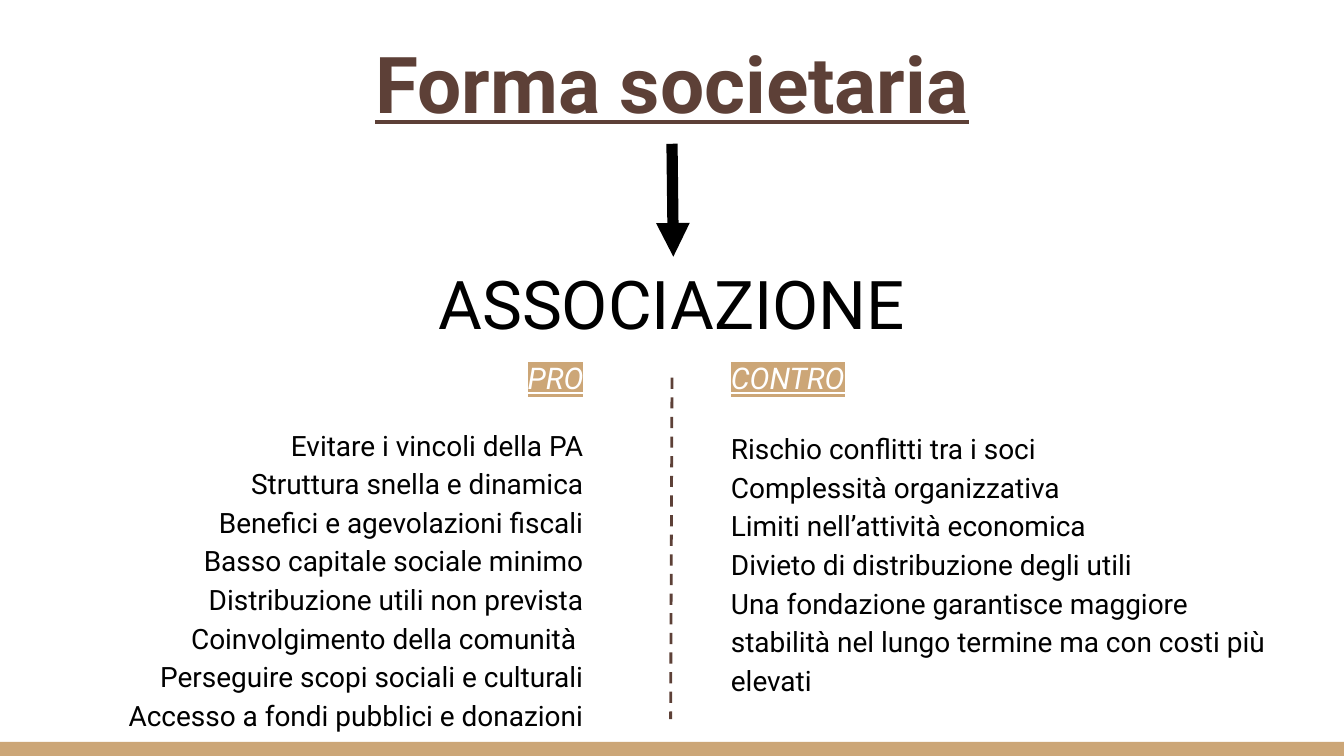
from dataclasses import dataclass

from lxml.etree import SubElement
from pptx import Presentation
from pptx.dml.color import RGBColor
from pptx.enum.dml import MSO_LINE as Dash
from pptx.enum.shapes import MSO_CONNECTOR, MSO_SHAPE
from pptx.enum.text import MSO_ANCHOR as Anchor, MSO_AUTO_SIZE, PP_ALIGN as Align
from pptx.oxml.ns import qn
from pptx.util import Inches, Pt

WIDTH = Inches(10)
HEIGHT = WIDTH * 9 // 16
FONT = "Roboto"
BROWN, TAN, BLACK, WHITE = "5D4037", "CCA677", "000000", "FFFFFF"


@dataclass
class Column:
    left: float
    width: float
    align: Align
    head: str
    gap: float
    items: list[str]


@dataclass
class Line:
    start: tuple[float, float]
    end: tuple[float, float]
    color: str
    width: float
    dash: Dash
    arrow: bool = False


COLUMNS = [
    Column(-0.41, 4.85, Align.RIGHT, "PRO", 14.5, [
        "Evitare i vincoli della PA",
        "Struttura snella e dinamica",
        "Benefici e agevolazioni fiscali",
        "Basso capitale sociale minimo",
        "Distribuzione utili non prevista",
        "Coinvolgimento della comunità ",
        "Perseguire scopi sociali e culturali",
        "Accesso a fondi pubblici e donazioni",
    ]),
    Column(5.34, 4.66, Align.LEFT, "CONTRO", 16.5, [
        "Rischio conflitti tra i soci",
        "Complessità organizzativa",
        "Limiti nell’attività economica",
        "Divieto di distribuzione degli utili",
        "Una fondazione garantisce maggiore",
        "stabilità nel lungo termine ma con costi più elevati",
    ]),
]

LINES = [
    Line((5, 1.07), (5.01, 1.91), BLACK, 6, Dash.LONG_DASH, arrow=True),
    Line((5, 2.81), (4.99, 5.35), BROWN, 1.5, Dash.DASH),
]


def rgb(color: str) -> RGBColor:
    return RGBColor.from_string(color)


def set_frame(frame, anchor: Anchor) -> None:
    frame.word_wrap = True
    frame.auto_size = MSO_AUTO_SIZE.NONE
    frame.vertical_anchor = anchor
    frame.margin_left = frame.margin_right = Inches(0.1)
    frame.margin_top = frame.margin_bottom = Inches(0.1)


def set_para(para, text: str, size: float, color: str, align: Align) -> None:
    para.text = text
    para.alignment = align
    para.font.name = FONT
    para.font.size = Pt(size)
    para.font.color.rgb = rgb(color)


def add_box(slide, left: float, top: float, width: float, height: float, anchor: Anchor):
    box = slide.shapes.add_textbox(*map(Inches, (left, top, width, height)))
    set_frame(box.text_frame, anchor)
    return box.text_frame


def add_title(slide, text: str) -> None:
    title = slide.shapes.title
    title.left, title.top = Inches(0.34), Inches(0.16)
    title.width, title.height = Inches(9.32), Inches(0.91)
    set_frame(title.text_frame, Anchor.MIDDLE)
    para = title.text_frame.paragraphs[0]
    set_para(para, text, 42, BROWN, Align.CENTER)
    para.font.bold = para.font.underline = True


def add_column(slide, col: Column) -> None:
    frame = add_box(slide, col.left, 2.58, col.width, 3.04, Anchor.TOP)
    head = frame.paragraphs[0]
    set_para(head, col.head, 16, WHITE, col.align)
    head.font.italic = head.font.underline = True
    head.space_after = Pt(col.gap)
    mark = SubElement(head.runs[0].font._element, qn("a:highlight"))
    SubElement(mark, qn("a:srgbClr"), val=TAN)
    for item in col.items:
        para = frame.add_paragraph()
        set_para(para, item, 15, BLACK, col.align)
        para.line_spacing = 1.15


def add_line(slide, line: Line) -> None:
    points = map(Inches, (*line.start, *line.end))
    shape = slide.shapes.add_connector(MSO_CONNECTOR.STRAIGHT, *points)
    shape.line.color.rgb = rgb(line.color)
    shape.line.width = Pt(line.width)
    shape.line.dash_style = line.dash
    props = shape._element.spPr
    if line.arrow:
        SubElement(props.find(qn("a:ln")), qn("a:tailEnd"), type="triangle")
    SubElement(props, qn("a:effectLst"))


def add_band(slide) -> None:
    top = Inches(5.52)
    band = slide.shapes.add_shape(MSO_SHAPE.RECTANGLE, 0, top, WIDTH, HEIGHT - top)
    band.shadow.inherit = False
    band.fill.solid()
    band.fill.fore_color.rgb = rgb(TAN)
    band.line.fill.background()


def main() -> None:
    deck = Presentation()
    deck.slide_width, deck.slide_height = WIDTH, HEIGHT
    slide = deck.slides.add_slide(deck.slide_layouts[5])
    add_band(slide)
    add_title(slide, "Forma societaria")
    form = add_box(slide, 2.64, 1.6, 4.72, 1.21, Anchor.MIDDLE).paragraphs[0]
    set_para(form, "ASSOCIAZIONE", 36, BLACK, Align.CENTER)
    form.line_spacing = 1.15
    form.space_after = Pt(12)
    for col in COLUMNS:
        add_column(slide, col)
    for line in LINES:
        add_line(slide, line)
    deck.save("out.pptx")


if __name__ == "__main__":
    main()
